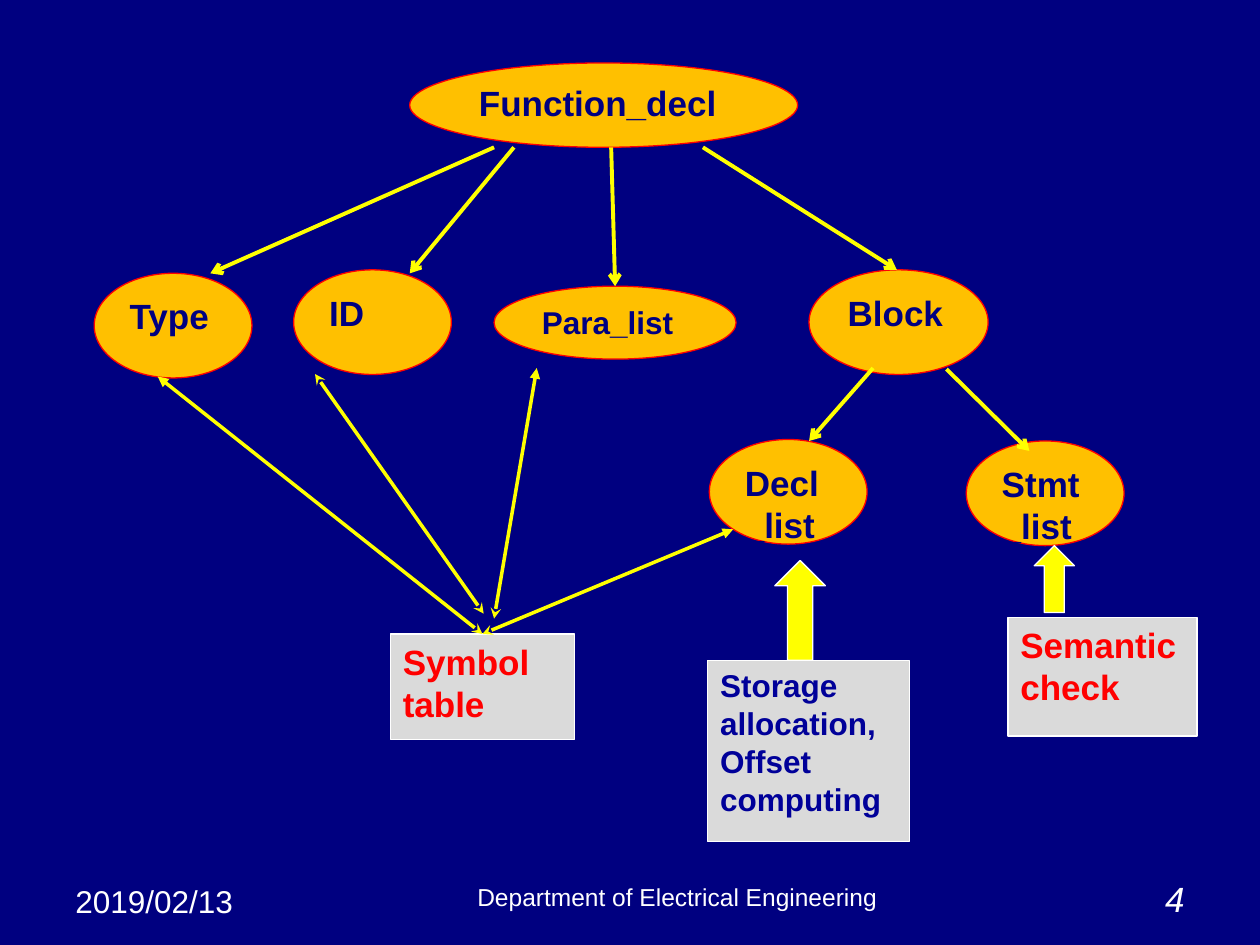
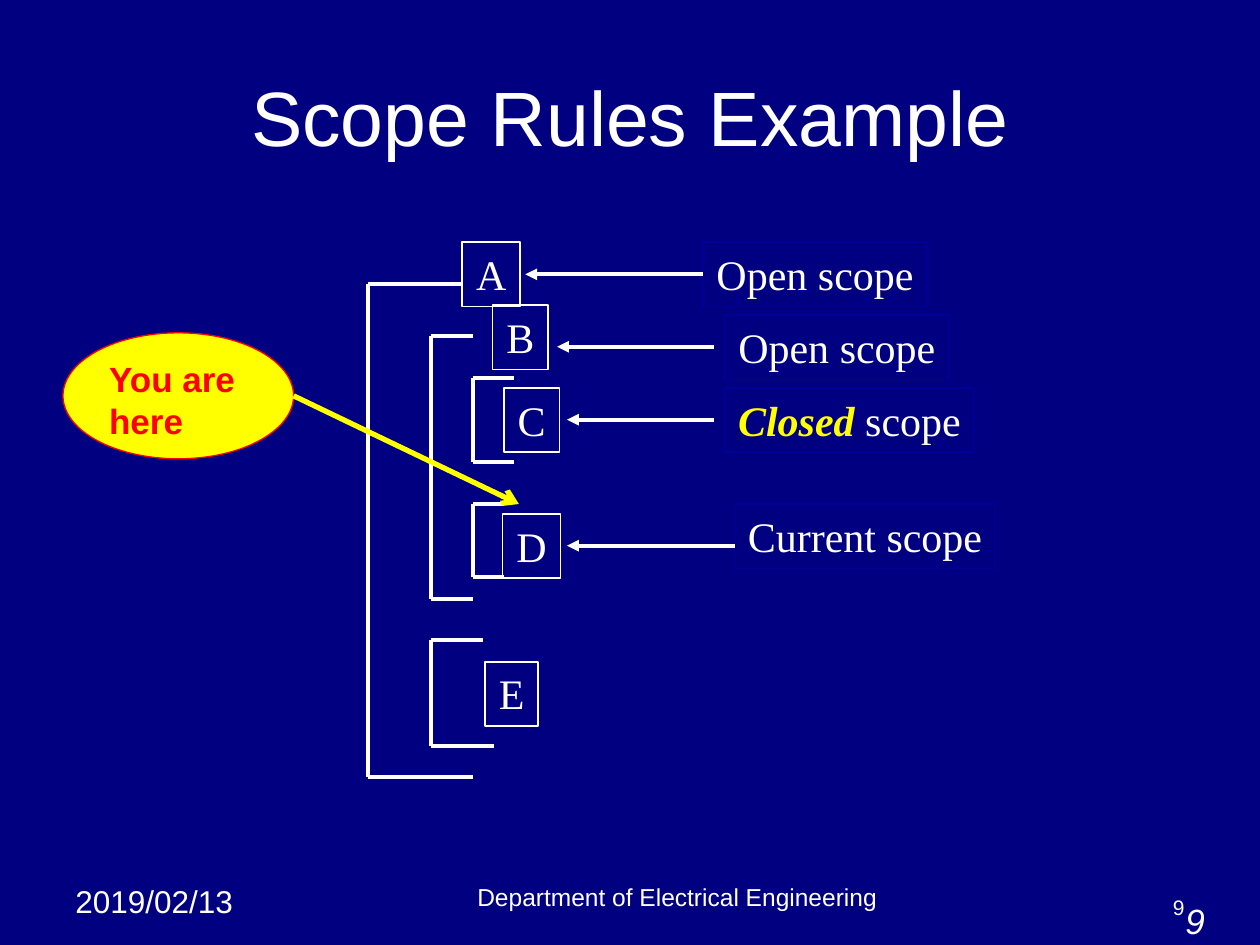
"""Build two compiler slides: a function declaration tree and a scope rules example."""
from lxml.etree import SubElement
from pptx import Presentation
from pptx.dml.color import RGBColor
from pptx.enum.shapes import MSO_CONNECTOR, MSO_SHAPE
from pptx.enum.text import MSO_ANCHOR, PP_ALIGN
from pptx.oxml.ns import qn
from pptx.util import Cm, Pt

THEME = {
    "navy": RGBColor(0x00, 0x00, 0x80),
    "blue": RGBColor(0x00, 0x00, 0x99),
    "white": RGBColor(0xFF, 0xFF, 0xFF),
    "yellow": RGBColor(0xFF, 0xFF, 0x00),
    "amber": RGBColor(0xFF, 0xC0, 0x00),
    "red": RGBColor(0xFF, 0x00, 0x00),
    "grey": RGBColor(0xDA, 0xDA, 0xDA),
    "title": {"name": "Arial", "size": Pt(44), "bold": False},
    "node": {"name": "Arial", "size": Pt(20), "bold": True},
    "small_node": {"name": "Arial", "size": Pt(18), "bold": True},
    "scope": {"name": "Times New Roman", "size": Pt(24)},
    "closed": {"name": "Times New Roman", "size": Pt(24), "bold": True, "italic": True},
    "date": {"name": "Arial", "size": Pt(18)},
    "footer": {"name": "Arial", "size": Pt(14)},
    "number": {"name": "Arial", "size": Pt(20), "italic": True},
    "small_number": {"name": "Arial", "size": Pt(12)},
}


def add_box(slide, kind, box, text="", style="node", color="white", fill=None, line=None,
            weight=0.75, align=PP_ALIGN.LEFT, anchor=MSO_ANCHOR.TOP, wrap=True):
    """Add a shape, or a text box when kind is None, and format its text."""
    position = [Cm(value) for value in box]
    if kind is None:
        shape = slide.shapes.add_textbox(*position)
    else:
        shape = slide.shapes.add_shape(kind, *position)
        shape.shadow.inherit = False
        shape.line.color.rgb = THEME[line]
        shape.line.width = Pt(weight)
        if fill:
            shape.fill.solid()
            shape.fill.fore_color.rgb = THEME[fill]
        else:
            shape.fill.background()
    frame = shape.text_frame
    frame.word_wrap = wrap
    frame.vertical_anchor = anchor
    if text:
        frame.text = text
        for paragraph in frame.paragraphs:
            paragraph.alignment = align
            font = paragraph.runs[0].font
            font.color.rgb = THEME[color]
            for name, value in THEME[style].items():
                setattr(font, name, value)
    return shape


def add_line(slide, start, end, color="white", weight=2.25, head=None, tail=None):
    """Add a straight line with optional arrowheads at its start and end."""
    points = [Cm(value) for value in (*start, *end)]
    connector = slide.shapes.add_connector(MSO_CONNECTOR.STRAIGHT, *points)
    connector.line.color.rgb = THEME[color]
    connector.line.width = Pt(weight)
    properties = connector.element.spPr
    outline = properties.find(qn("a:ln"))
    for tag, arrowhead in (("a:headEnd", head), ("a:tailEnd", tail)):
        if arrowhead:
            SubElement(outline, qn(tag), type=arrowhead)
    SubElement(properties, qn("a:effectLst"))
    return connector


presentation = Presentation()
presentation.slide_width, presentation.slide_height = Cm(25.4), Cm(19.05)
background = presentation.slide_master.background.fill
background.solid()
background.fore_color.rgb = THEME["navy"]

tree_slide = presentation.slides.add_slide(presentation.slide_layouts[6])
scope_slide = presentation.slides.add_slide(presentation.slide_layouts[5])

for slide, numbers in (
    (tree_slide, [("4", "number", 18.21, 17.98)]),
    (scope_slide, [("9", "small_number", 18.21, 17.98), ("9", "number", 18.62, 18.42)]),
):
    add_box(slide, None, (1.27, 17.65, 4.01, 1.02), "2019/02/13", "date")
    add_box(slide, None, (5.08, 17.65, 17.15, 0.84), "Department of Electrical Engineering",
            "footer", align=PP_ALIGN.CENTER, anchor=MSO_ANCHOR.BOTTOM)
    for text, style, left, top in numbers:
        add_box(slide, None, (left, top, 5.92, 0.69), text, style,
                align=PP_ALIGN.RIGHT, anchor=MSO_ANCHOR.BOTTOM)

for text, style, box in (
    ("Function_decl", "node", (8.26, 1.27, 7.82, 1.7)),
    ("Type", "node", (1.9, 5.51, 3.18, 2.11)),
    ("ID", "node", (5.92, 5.44, 3.18, 2.11)),
    ("Para_list", "small_node", (9.96, 5.77, 4.88, 1.47)),
    ("Block", "node", (16.31, 5.44, 3.61, 2.11)),
    ("Decl_list", "node", (14.3, 8.86, 3.18, 2.11)),
    ("Stmt_list", "node", (19.48, 8.89, 3.18, 2.11)),
):
    add_box(tree_slide, MSO_SHAPE.OVAL, box, text, style, "navy", "amber", "red")

for parent, child in (
    ((9.96, 2.97), (4.24, 5.51)),
    ((10.36, 2.97), (8.26, 5.51)),
    ((12.32, 2.97), (12.4, 5.77)),
    ((14.17, 2.97), (18.08, 5.44)),
    ((17.6, 7.42), (16.31, 8.89)),
    ((19.08, 7.44), (20.75, 9.09)),
):
    add_line(tree_slide, parent, child, "yellow", tail="arrow")

for box in ((15.62, 11.3, 1.02, 2.01), (20.85, 11, 0.81, 1.35)):
    add_box(tree_slide, MSO_SHAPE.UP_ARROW, box, fill="yellow", line="white")

actions = {}
for text, style, color, box in (
    ("Symbol\ntable", "node", "red", (7.87, 12.78, 3.71, 2.13)),
    ("Storage\nallocation,\nOffset\ncomputing", "small_node", "blue", (14.27, 13.31, 4.06, 3.66)),
    ("Semantic check", "node", "red", (20.32, 12.45, 3.81, 2.39)),
):
    actions[text] = add_box(tree_slide, MSO_SHAPE.RECTANGLE, box, text, style, color,
                            "grey", "white")

for start, end, tail, joined in (
    ((9.75, 12.37), (6.35, 7.54), "stealth", False),
    ((9.72, 12.78), (3.18, 7.59), "triangle", True),
    ((9.96, 12.47), (10.82, 7.42), "triangle", False),
    ((9.72, 12.78), (14.78, 10.67), "triangle", True),
):
    lookup = add_line(tree_slide, start, end, "yellow", 2, "stealth", tail)
    if joined:
        lookup.begin_connect(actions["Symbol\ntable"], 0)

title = scope_slide.shapes.title
title.left, title.top, title.width, title.height = Cm(1.91), Cm(1.27), Cm(21.59), Cm(2.11)
title.text_frame.text = "Scope Rules Example"
title.text_frame.vertical_anchor = MSO_ANCHOR.MIDDLE
title_paragraph = title.text_frame.paragraphs[0]
title_paragraph.alignment = PP_ALIGN.CENTER
title_paragraph.font.color.rgb = THEME["white"]
for name, value in THEME["title"].items():
    setattr(title_paragraph.font, name, value)

for spine, top, bottom, top_end, bottom_end in (
    (7.42, 5.72, 15.67, 9.32, 9.53),
    (8.69, 6.78, 12.07, 9.53, 9.53),
    (9.53, 7.62, 9.32, 10.36, 10.36),
    (9.53, 10.16, 11.63, 10.16, 10.16),
    (8.69, 12.9, 15.04, 9.73, 9.96),
):
    add_line(scope_slide, (spine, top), (spine, bottom))
    add_line(scope_slide, (spine, top), (top_end, top))
    add_line(scope_slide, (spine, bottom), (bottom_end, bottom))

labels = []
for text, style, color, line, left, top, width in (
    ("A", "scope", "white", "white", 9.32, 4.88, 1.17),
    ("B", "scope", "white", "white", 9.93, 6.15, 1.12),
    ("C", "scope", "white", "white", 10.16, 7.82, 1.12),
    ("D", "scope", "white", "white", 10.13, 10.36, 1.17),
    ("E", "scope", "white", "white", 9.78, 13.34, 1.07),
    ("Current scope", "scope", "white", "blue", 14.81, 10.16, 5.26),
    ("Closed", "closed", "yellow", "blue", 14.61, 7.82, 5.03),
    ("Open scope", "scope", "white", "blue", 14.61, 6.35, 4.52),
    ("Open scope", "scope", "white", "blue", 14.17, 4.88, 4.52),
):
    label = add_box(scope_slide, MSO_SHAPE.RECTANGLE, (left, top, width, 1.3), text, style,
                    color, line=line, weight=1, align=PP_ALIGN.CENTER, wrap=False)
    labels.append(label)
    if text == "Closed":
        run = label.text_frame.paragraphs[0].add_run()
        run.text = " scope"
        run.font.color.rgb = THEME["white"]
        for name, value in THEME["scope"].items():
            setattr(run.font, name, value)

for start, end, height in (
    (14.4, 11.23, 6.99),
    (14.4, 11.43, 8.46),
    (14.81, 11.43, 11),
):
    add_line(scope_slide, (start, height), (end, height), tail="triangle")
outer_pointer = add_line(scope_slide, (14.17, 5.53), (10.59, 5.53), tail="triangle")
outer_pointer.begin_connect(labels[-1], 1)

add_box(scope_slide, MSO_SHAPE.OVAL, (1.27, 6.71, 4.65, 2.54), "You are here", "node", "red",
        "yellow", "red")
add_line(scope_slide, (5.92, 7.98), (10.46, 10.16), "yellow", 3, tail="arrow")

presentation.save("out.pptx")
